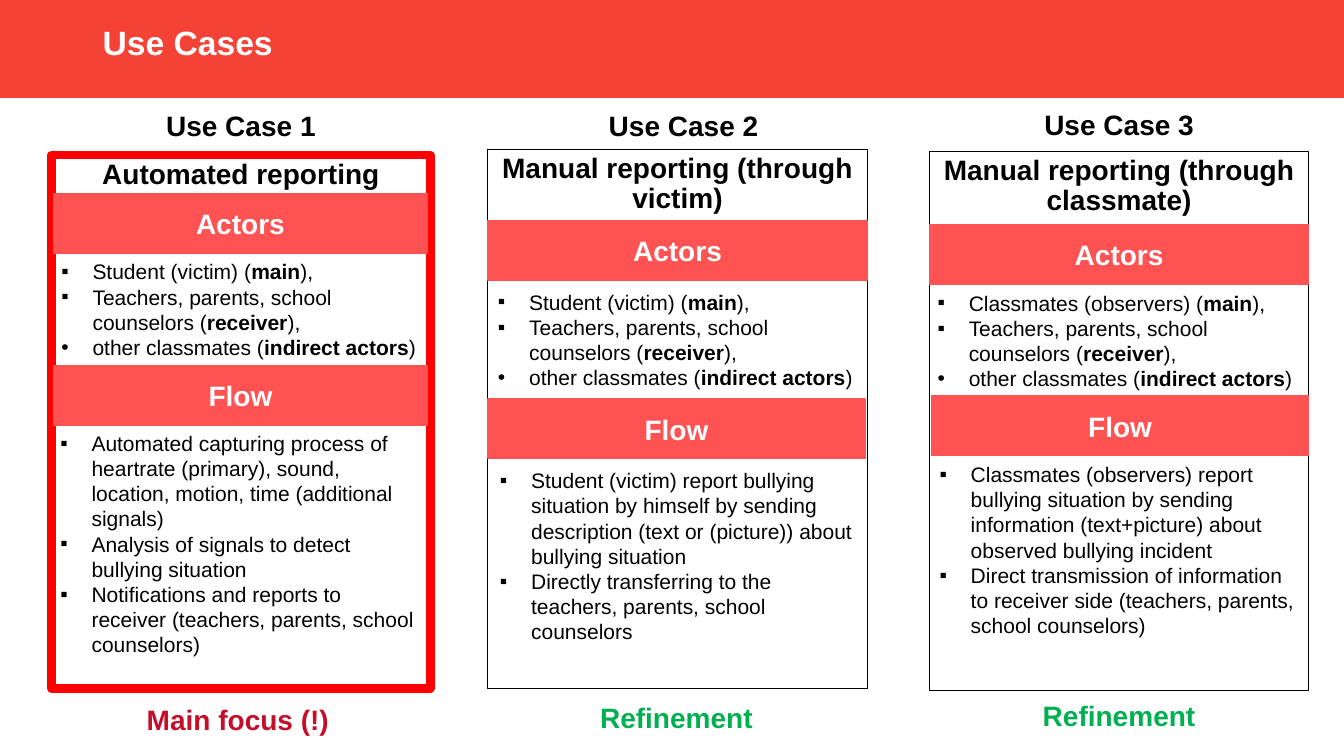
from lxml.etree import SubElement
from pptx import Presentation
from pptx.dml.color import RGBColor
from pptx.enum.shapes import MSO_SHAPE
from pptx.enum.text import MSO_ANCHOR, MSO_AUTO_SIZE, PP_ALIGN
from pptx.oxml.ns import qn
from pptx.util import Inches, Pt

COLORS = {
    "banner": "F44336", "band": "FF5252", "focus": "FF0000", "focus_text": "C50E29",
    "refine": "00B050", "black": "000000", "white": "FFFFFF",
}
SHARED_ACTORS = [
    ("▪", "Teachers, parents, school counselors (**receiver**),"),
    ("•", "other classmates (**indirect actors**)"),
]
USE_CASES = [
    {
        "label": ("Use Case 1", 0.51, 1.03),
        "frame": (0.51, 1.54, 3.76, 5.29), "border": ("focus", 6),
        "heading": "Automated reporting",
        "bands": [("Actors", 0.53, 1.92, 3.71), ("Flow", 0.53, 3.63, 3.71)],
        "actors_box": (0.51, 2.52, 3.76, 1.11), "main_actor": "Student (victim)",
        "flow_box": (0.5, 4.22, 3.77, 2.37),
        "flow": [
            "Automated capturing process of heartrate (primary), sound, location, "
            "motion, time (additional signals)",
            "Analysis of signals to detect bullying situation",
            "Notifications and reports to receiver (teachers, parents, school counselors)",
        ],
        "footer": ("Main focus (!)", 0.48, 6.92, "focus_text"),
    },
    {
        "label": ("Use Case 2", 4.9, 1.03),
        "frame": (4.84, 1.48, 3.76, 5.35), "border": ("black", 0.75),
        "heading": "Manual reporting (through victim)",
        "bands": [("Actors", 4.84, 2.19, 3.76), ("Flow", 4.84, 3.96, 3.74)],
        "actors_box": (4.84, 2.82, 3.81, 1.11), "main_actor": "Student (victim)",
        "flow_box": (4.86, 4.59, 3.77, 1.87),
        "flow": [
            "Student (victim) report bullying situation by himself by sending "
            "description (text or (picture)) about bullying situation",
            "Directly transferring to the teachers, parents, school counselors",
        ],
        "footer": ("Refinement", 4.83, 6.9, "refine"),
    },
    {
        "label": ("Use Case 3", 9.22, 1.02),
        "frame": (9.22, 1.5, 3.76, 5.35), "border": ("black", 0.75),
        "heading": "Manual reporting (through classmate)",
        "bands": [("Actors", 9.22, 2.23, 3.76), ("Flow", 9.24, 3.93, 3.74)],
        "actors_box": (9.2, 2.83, 3.81, 1.11), "main_actor": "Classmates (observers)",
        "flow_box": (9.22, 4.53, 3.77, 1.87),
        "flow": [
            "Classmates (observers) report bullying situation by sending "
            "information (text+picture) about observed bullying incident",
            "Direct transmission of information to receiver side "
            "(teachers, parents, school counselors)",
        ],
        "footer": ("Refinement", 9.22, 6.88, "refine"),
    },
]


def rgb(name):
    """Return the named palette colour."""
    return RGBColor.from_string(COLORS[name])


def write(p, text, size=20, color="black", bold=True, align=PP_ALIGN.CENTER,
          spacing=None, before=None):
    """Fill a paragraph, switching bold on and off at each ** mark."""
    p.alignment = align
    p.line_spacing = spacing
    p.space_before = before
    for i, part in enumerate(text.split("**")):
        r = p.add_run()
        r.text = part
        r.font.name = "Arial"
        r.font.size = Pt(size)
        r.font.bold = bold or i % 2 == 1
        r.font.color.rgb = rgb(color)


def add_bullet(p, char):
    """Give a paragraph a hanging bullet."""
    pPr = p._p.get_or_add_pPr()
    pPr.set("marL", str(Inches(0.31)))
    pPr.set("indent", str(-Inches(0.31)))
    SubElement(pPr, qn("a:buFont"), typeface="Arial")
    SubElement(pPr, qn("a:buChar"), char=char)


def add_box(s, box, line, width=1, fill=None, anchor=MSO_ANCHOR.MIDDLE):
    """Add a rectangle and return its text frame."""
    sp = s.shapes.add_shape(MSO_SHAPE.RECTANGLE, *map(Inches, box))
    sp.shadow.inherit = False
    if fill:
        sp.fill.solid()
        sp.fill.fore_color.rgb = rgb(fill)
    else:
        sp.fill.background()
    sp.line.color.rgb = rgb(line)
    sp.line.width = Pt(width)
    sp.text_frame.vertical_anchor = anchor
    return sp.text_frame


def add_text(s, box, auto_size=MSO_AUTO_SIZE.SHAPE_TO_FIT_TEXT):
    """Add a wrapping text box and return its text frame."""
    tf = s.shapes.add_textbox(*map(Inches, box)).text_frame
    tf.word_wrap = True
    tf.auto_size = auto_size
    return tf


def add_caption(s, text, left, top, color="black"):
    """Add a centred caption above or below a column."""
    write(add_text(s, (left, top, 3.76, 0.44)).paragraphs[0], text, color=color)


def add_list(s, box, items):
    """Add a bulleted list of (bullet, text) pairs."""
    tf = add_text(s, box)
    for i, (char, text) in enumerate(items):
        p = tf.add_paragraph() if i else tf.paragraphs[0]
        write(p, text, size=15, bold=False, align=PP_ALIGN.LEFT)
        add_bullet(p, char)


def add_use_case(s, case):
    """Add one use case column."""
    tf = add_box(s, case["frame"], *case["border"], anchor=MSO_ANCHOR.TOP)
    write(tf.paragraphs[0], case["heading"], spacing=0.9, before=Pt(10))
    add_caption(s, *case["label"])
    for name, left, top, width in case["bands"]:
        tf = add_box(s, (left, top, width, 0.59), "band", fill="band")
        write(tf.paragraphs[0], name, color="white")
    main_actor = ("▪", f"{case['main_actor']} (**main**),")
    add_list(s, case["actors_box"], [main_actor, *SHARED_ACTORS])
    add_list(s, case["flow_box"], [("▪", step) for step in case["flow"]])
    add_caption(s, *case["footer"])


def main():
    """Build the use case slide."""
    prs = Presentation()
    prs.slide_width, prs.slide_height = Inches(13.33), Inches(7.5)
    s = prs.slides.add_slide(prs.slide_layouts[6])
    add_box(s, (0, 0, 13.33, 0.97), "banner", fill="banner")
    tf = add_text(s, (0.92, 0.15, 11.5, 0.59), MSO_AUTO_SIZE.NONE)
    tf.vertical_anchor = MSO_ANCHOR.MIDDLE
    write(tf.paragraphs[0], "Use Cases", size=24, color="white",
          align=PP_ALIGN.LEFT, spacing=0.9)
    for case in USE_CASES:
        add_use_case(s, case)
    prs.save("out.pptx")


if __name__ == "__main__":
    main()
